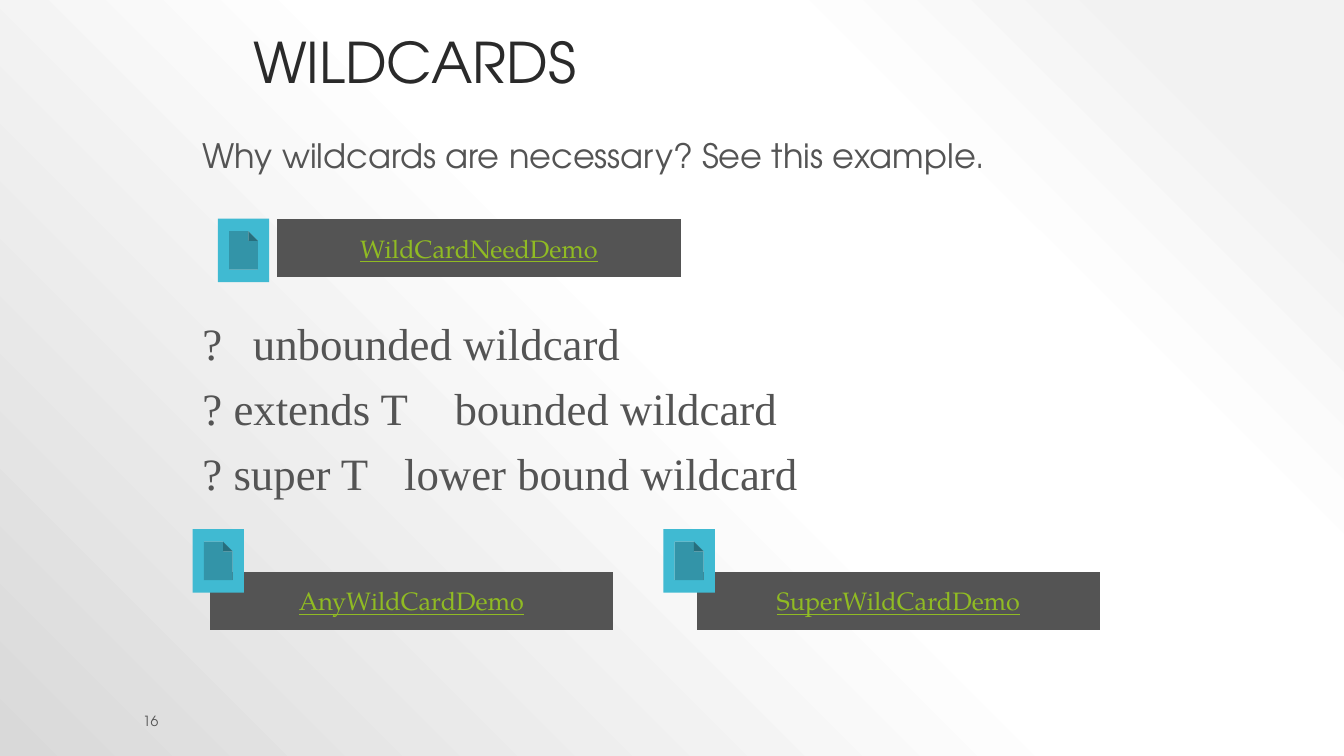
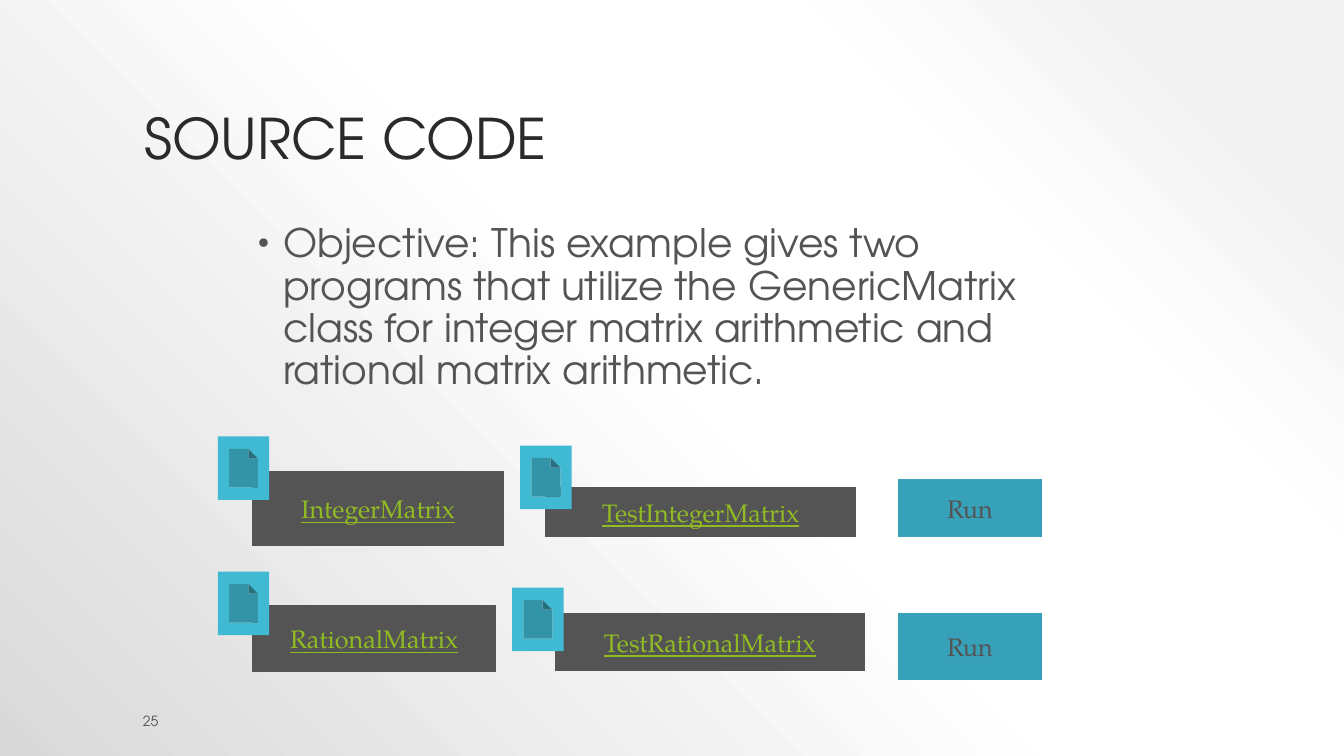
from pptx import Presentation
from pptx import util as u
from pptx.dml.color import RGBColor
from pptx.enum import shapes, text
from pptx.oxml import parse_xml
from pptx.oxml.ns import nsdecls, qn

# Style
PX = 9144  # EMU in one px, 100 px to the inch
INK = RGBColor(0x2A, 0x2A, 0x2A)
GREY = RGBColor(0x54, 0x54, 0x54)
GREEN = RGBColor(0x90, 0xBB, 0x23)
BLUE = RGBColor(0x38, 0xA1, 0xBA)
CYAN = RGBColor(0x40, 0xBA, 0xD2)
SANS, SERIF, TIMES = "TeX Gyre Adventor", "TeX Gyre Pagella", "Times New Roman"
STOPS = [(10, "F2F2F2"), (28, "FFFFFF"), (48, "FFFFFF"), (100, "D9D9D9")]
ICON = (51, 63)


def node(tag, attrs="", body=""):
    return parse_xml(f'<a:{tag} {nsdecls("a")} {attrs}>{body}</a:{tag}>')


class Deck:
    """Holds the style and the current slide."""

    def __init__(self):
        self.prs = Presentation()
        self.prs.slide_width = 1333 * PX
        self.prs.slide_height = 750 * PX
        self.paint()

    def paint(self):
        # Shared background: a glow from the top right corner
        master = self.prs.slide_master
        master.background.fill.gradient()
        old = next(master._element.cSld.iter(qn("a:gradFill")))
        stops = "".join(f'<a:gs pos="{at}000"><a:srgbClr val="{tint}"/></a:gs>'
                        for at, tint in STOPS)
        new = node("gradFill", 'rotWithShape="1"',
                   f'<a:gsLst>{stops}</a:gsLst><a:path path="circle">'
                   '<a:fillToRect l="100000" b="100000"/></a:path>')
        old.getparent().replace(old, new)

    def place(self, shape, box):
        shape.left, shape.top, shape.width, shape.height = (n * PX for n in box)

    def style(self, par, face, size, color, line=False):
        for run in par.runs:
            font = run.font
            font.name, font.size = face, u.Pt(size)
            font.color.rgb = color
            if line:
                font.underline = True

    def indent(self, par, left, hang):
        prop = par._p.get_or_add_pPr()
        prop.set("marL", str(left * PX))
        prop.set("indent", str(-hang * PX))
        return prop

    def page(self, title, box, number):
        self.slide = self.prs.slides.add_slide(self.prs.slide_layouts[1])
        # Title
        head = self.slide.shapes.title
        self.place(head, box)
        frame = head.text_frame
        frame.text = title
        frame.auto_size = text.MSO_AUTO_SIZE.NONE
        frame.vertical_anchor = text.MSO_ANCHOR.BOTTOM
        par = frame.paragraphs[0]
        par.alignment = text.PP_ALIGN.LEFT
        par.line_spacing = 0.9
        self.style(par, SANS, 40, INK)
        # Page number
        foot = self.label((132, 705, 726, 20), str(number))
        foot.vertical_anchor = text.MSO_ANCHOR.MIDDLE
        self.style(foot.paragraphs[0], SANS, 10, GREY)

    def label(self, box, words):
        frame = self.slide.shapes.add_textbox(*(n * PX for n in box)).text_frame
        frame.word_wrap = True
        frame.text = words
        return frame

    def body(self, words, box, size, bullet=False):
        shape = self.slide.placeholders[1]
        self.place(shape, box)
        frame = shape.text_frame
        frame.text = words
        frame.auto_size = text.MSO_AUTO_SIZE.NONE
        par = frame.paragraphs[0]
        par.line_spacing, par.space_before = 0.9, u.Pt(18)
        if bullet:
            prop = self.indent(par, 30, 25)
            prop.append(node("buClr", "", f'<a:srgbClr val="{GREY}"/>'))
            prop.append(node("buSzPct", 'val="80000"'))
            prop.append(node("buFont", 'typeface="Arial"'))
            prop.append(node("buChar", 'char="•"'))
        else:
            self.indent(par, 67, 67).append(node("buNone"))
        self.style(par, SANS, size, GREY)

    def pairs(self, rows, box, stop):
        # Two columns of text, split by one tab stop
        frame = self.label(box, "\n".join("\t".join(row) for row in rows))
        for par in frame.paragraphs:
            par.space_before = u.Pt(8)
            prop = self.indent(par, 0, 0)
            prop.append(node("tabLst", "", f'<a:tab pos="{stop * PX}" algn="l"/>'))
            self.style(par, TIMES, 32, GREY)

    def block(self, kind, box, fill):
        shape = self.slide.shapes.add_shape(kind, *(n * PX for n in box))
        shape.shadow.inherit = False
        shape.fill.solid()
        shape.fill.fore_color.rgb = fill
        shape.line.fill.background()
        return shape

    def button(self, words, box, fill, color, line=False):
        kind = shapes.MSO_SHAPE.ACTION_BUTTON_CUSTOM
        frame = self.block(kind, box, fill).text_frame
        frame.word_wrap = False
        frame.vertical_anchor = text.MSO_ANCHOR.MIDDLE
        frame.text = words
        par = frame.paragraphs[0]
        par.alignment = text.PP_ALIGN.CENTER
        self.style(par, SERIF, 18, color, line)

    def demo(self, words, box, icon):
        # Dark bar with a document icon at its corner
        self.button(words, box, GREY, GREEN, True)
        self.block(shapes.MSO_SHAPE.ACTION_BUTTON_DOCUMENT, icon + ICON, CYAN)

    def run(self, box):
        self.button("Run", box, BLUE, GREY)


def main():
    deck = Deck()

    # Wildcards
    deck.page("WILDCARDS", (241, 25, 850, 75), 16)
    deck.body("Why wildcards are necessary? See this example.",
              (191, 133, 950, 75), 24)
    deck.pairs([("?", "unbounded wildcard"),
                ("? extends T", "bounded wildcard"),
                ("? super T", "lower bound wildcard")],
               (191, 308, 950, 208), 354)
    deck.demo("WildCardNeedDemo", (275, 217, 400, 58), (216, 217))
    deck.demo("AnyWildCardDemo", (208, 567, 400, 58), (191, 525))
    deck.demo("SuperWildCardDemo", (691, 567, 400, 58), (658, 525))

    # Source code
    deck.page("SOURCE CODE", (133, 30, 1067, 145), 25)
    deck.body("Objective: This example gives two programs that utilize the "
              "GenericMatrix class for integer matrix arithmetic and "
              "rational matrix arithmetic.", (241, 217, 850, 200), 28, True)
    deck.demo("IntegerMatrix", (250, 467, 250, 75), (216, 433))
    deck.demo("TestIntegerMatrix", (541, 483, 308, 50), (516, 442))
    deck.run((891, 475, 142, 58))
    deck.demo("RationalMatrix", (250, 600, 242, 67), (216, 567))
    deck.demo("TestRationalMatrix", (550, 608, 308, 58), (508, 583))
    deck.run((891, 608, 142, 67))

    deck.prs.save("out.pptx")


if __name__ == "__main__":
    main()
